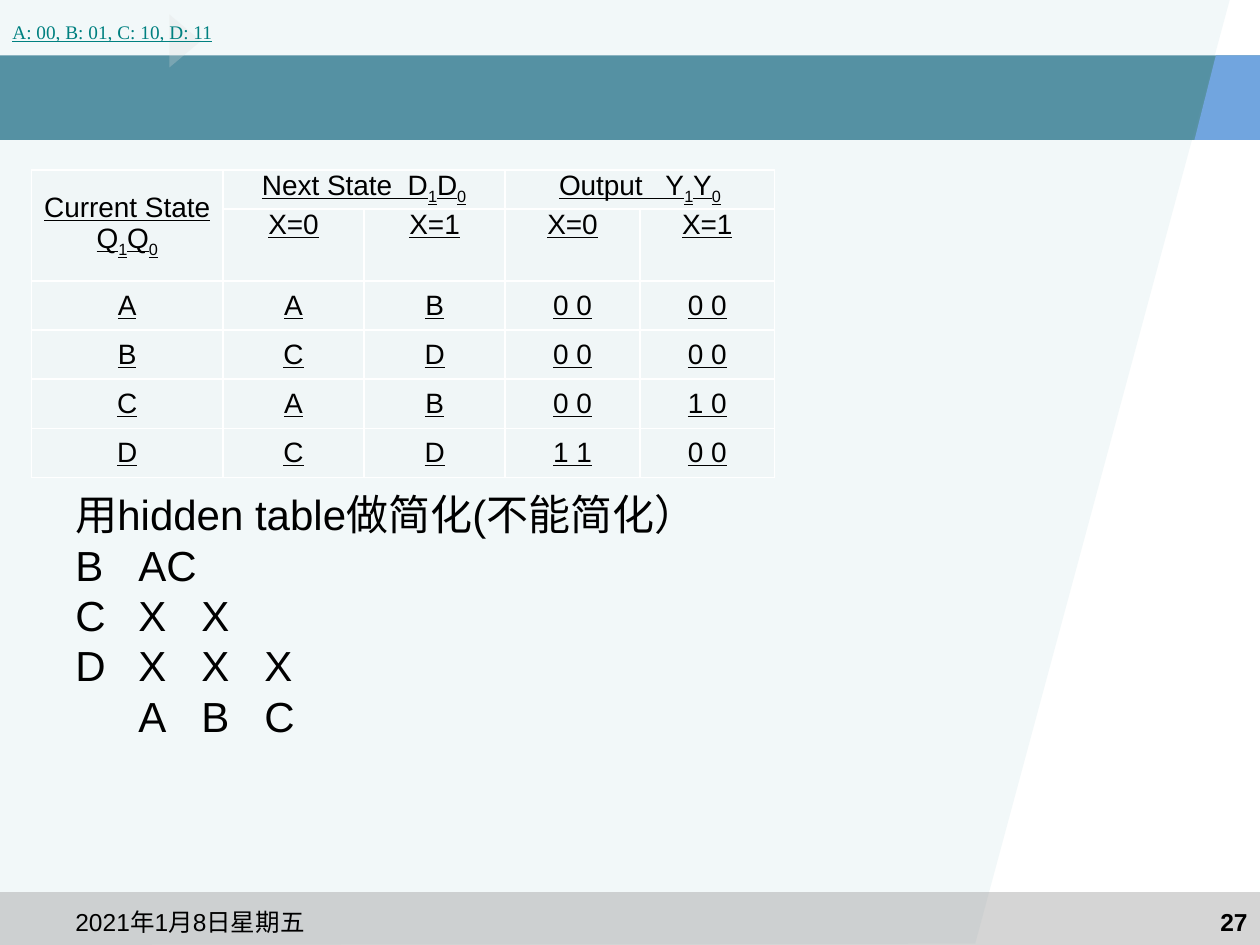
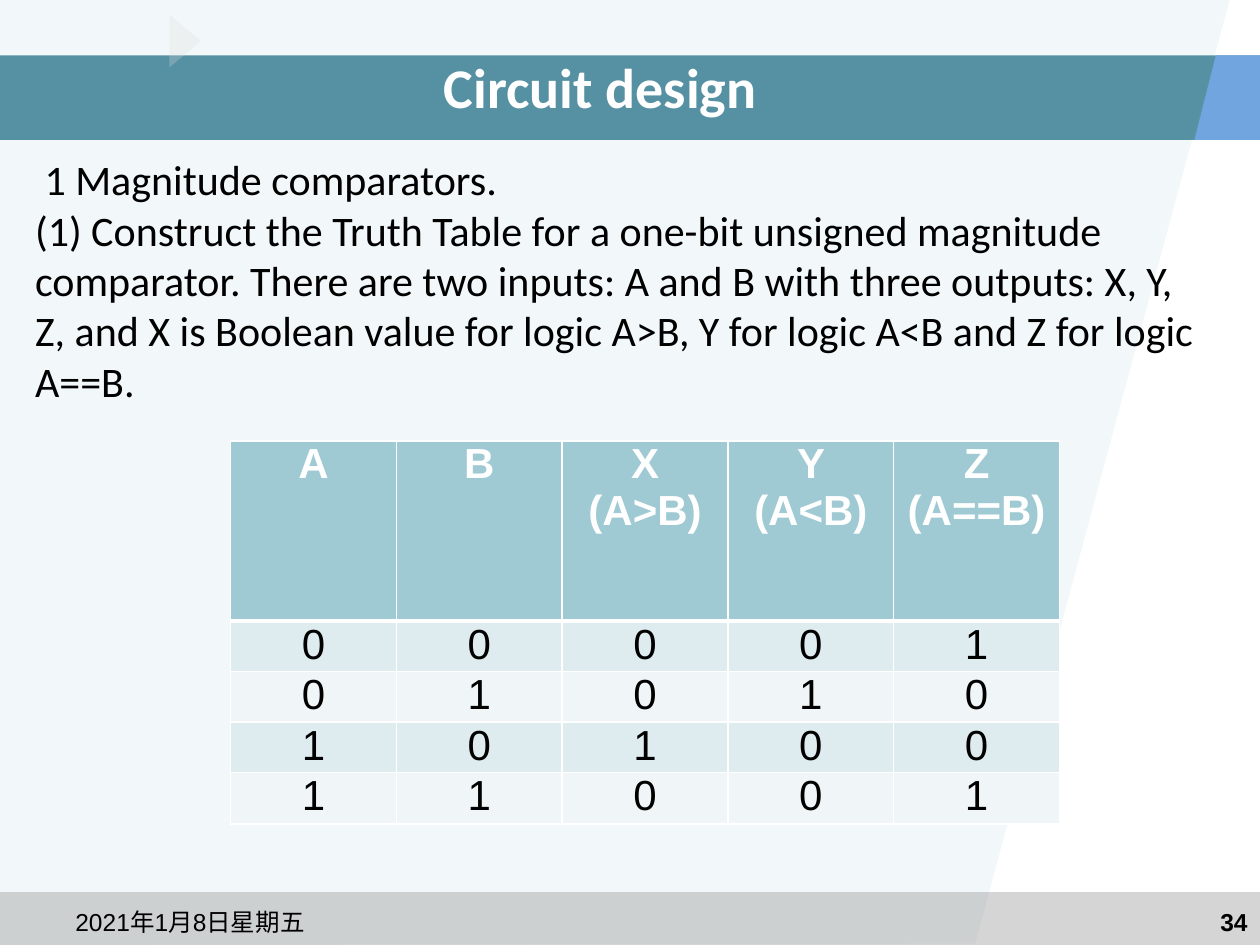
from dataclasses import dataclass

from lxml import etree
from pptx import Presentation
from pptx.dml.color import RGBColor
from pptx.enum.shapes import MSO_SHAPE
from pptx.enum.text import MSO_ANCHOR, PP_ALIGN
from pptx.oxml.ns import qn
from pptx.util import Inches, Pt

RECT, WEDGE = MSO_SHAPE.RECTANGLE, MSO_SHAPE.ISOSCELES_TRIANGLE
LEFT, MID, RIGHT = PP_ALIGN.LEFT, PP_ALIGN.CENTER, PP_ALIGN.RIGHT
TOP, CENTRE = MSO_ANCHOR.TOP, MSO_ANCHOR.MIDDLE
COLS, ROWS, STEP = 100, 75, 0.1  # slide grid, step in inches


@dataclass(frozen=True)
class Theme:
    ink: str = "000000"
    white: str = "FFFFFF"
    aqua: str = "9FCAD3"
    teal: str = "26728A"
    blue: str = "71A5DF"
    grey: str = "969696"
    pale: str = "DDDDDD"
    link: str = "008080"
    odd: str = "DFECEF"
    even: str = "F0F6F7"
    sans: str = "Arial"
    head: str = "Calibri"
    serif: str = "Times New Roman"
    title: int = 32
    body: int = 24
    cell: int = 16
    foot: int = 14
    code: int = 11
    lead: float = 28.8


T = Theme()


@dataclass(frozen=True)
class Box:
    """A region in grid units."""
    x: float
    y: float
    w: float
    h: float

    def cut(self, x, y, w, h):
        """Give a part whose corner is measured from this box."""
        return Box(self.x + x, self.y + y, w, h)

    def frame(self):
        return [Inches(n * STEP) for n in (self.x, self.y, self.w, self.h)]


@dataclass(frozen=True)
class Type:
    size: int
    font: str = T.sans
    color: str = T.ink
    bold: bool = False
    line: bool = False


PAGE = Box(0, 0, COLS, ROWS)
FOOT = PAGE.cut(0, 70.8, COLS, 4.2)
BAND = PAGE.cut(0, 4.4, COLS, 6.7)


def rgb(code):
    return RGBColor.from_string(code)


def paint(shape, color, alpha=100):
    shape.shadow.inherit = False
    shape.line.fill.background()
    shape.fill.solid()
    shape.fill.fore_color.rgb = rgb(color)
    if alpha < 100:
        tone = shape.fill._xPr.find(".//" + qn("a:srgbClr"))
        etree.SubElement(tone, qn("a:alpha"), val=str(alpha * 1000))


def block(slide, box, kind, color, alpha=100):
    shape = slide.shapes.add_shape(kind, *box.frame())
    paint(shape, color, alpha)
    return shape


def outline(slide, box, points, color, alpha=100):
    spots = [(Inches((box.x + x) * STEP), Inches((box.y + y) * STEP))
             for x, y in points]
    pen = slide.shapes.build_freeform(*spots[0])
    pen.add_line_segments(spots[1:], close=True)
    paint(pen.convert_to_shape(), color, alpha)


def put_run(para, text, style, sub=False):
    run = para.add_run()
    run.text = text
    font = run.font
    font.size, font.name = Pt(style.size), style.font
    font.bold, font.underline = style.bold, style.line
    font.color.rgb = rgb(style.color)
    if sub:
        run._r.get_or_add_rPr().set("baseline", "-25000")


def write(frame, text, style, align=LEFT, lead=None):
    """Fill a frame line by line; the letter after "_" is a subscript."""
    for i, line in enumerate(text.split("\n")):
        para = frame.add_paragraph() if i else frame.paragraphs[0]
        para.alignment = align
        if lead:
            para.line_spacing = Pt(lead)
        first, *rest = line.split("_")
        put_run(para, first, style)
        for part in rest:
            put_run(para, part[0], style, sub=True)
            if part[1:]:
                put_run(para, part[1:], style)


def label(slide, box, text, style, align=LEFT, anchor=TOP, lead=None):
    frame = slide.shapes.add_textbox(*box.frame()).text_frame
    frame.word_wrap = True
    frame.vertical_anchor = anchor
    write(frame, text, style, align, lead)


def edge(cell, **widths):
    """Draw the four white borders, one point wide unless told."""
    props = cell._tc.get_or_add_tcPr()
    for side in "LRTB":
        line = etree.SubElement(props, qn("a:ln" + side),
                                w=str(Pt(widths.get(side, 1))))
        fill = etree.SubElement(line, qn("a:solidFill"))
        etree.SubElement(fill, qn("a:srgbClr"), val=T.white)


def dress(cell, text, fill, style, anchor=TOP, **widths):
    edge(cell, **widths)
    cell.fill.solid()
    cell.fill.fore_color.rgb = rgb(fill)
    cell.margin_left = cell.margin_right = Inches(0.07)
    cell.margin_top = cell.margin_bottom = 0
    cell.vertical_anchor = anchor
    if text:
        write(cell.text_frame, text, style, MID)


def grid(slide, box, widths, heights):
    """Add a plain table with the given columns and rows."""
    table = slide.shapes.add_table(len(heights), len(widths),
                                   *box.frame()).table
    table.first_row = table.horz_banding = False
    for col, width in zip(table.columns, widths):
        col.width = Inches(width * STEP)
    for row, height in zip(table.rows, heights):
        row.height = Inches(height * STEP)
    return table


def backdrop(slide):
    outline(slide, PAGE, [(0, 0), (97.6, 0), (77.4, 74.9), (0, ROWS)],
            T.aqua, 13)
    block(slide, FOOT, RECT, T.grey, 40)
    block(slide, BAND, RECT, T.teal, 77)
    outline(slide, BAND, [(96.5, 0), (94.8, BAND.h), (COLS, BAND.h),
                          (COLS, 0)], T.blue)
    block(slide, PAGE.cut(12.6, 2, 4.2, 2.5), WEDGE, T.pale, 27).rotation = 90


def footer(slide, box, number):
    label(slide, box.cut(5, 0.7, 23.3, 3.5), "2021年1月8日星期五", Type(T.foot))
    label(slide, box.cut(76.7, 0.7, 23.3, 3.5), number,
          Type(T.foot, bold=True), RIGHT)


def state_table(slide, box):
    heads = [["Current State\nQ_1Q_0", "Next State  D_1D_0", "",
              "Output   Y_1Y_0", ""],
             ["", "X=0", "X=1", "X=0", "X=1"]]
    states = [["A", "A", "B", "0 0", "0 0"],
              ["B", "C", "D", "0 0", "0 0"],
              ["C", "A", "B", "0 0", "1 0"],
              ["D", "C", "D", "1 1", "0 0"]]
    table = grid(slide, box, [15.2, 11.2, 11.2, 10.7, 10.7],
                 [3.1] * 2 + [3.9] * len(states))
    for start, end in (((0, 0), (1, 0)), ((0, 1), (0, 2)), ((0, 3), (0, 4))):
        table.cell(*start).merge(table.cell(*end))
    for r, row in enumerate(heads + states):
        for c, text in enumerate(row):
            anchor = CENTRE if c == 0 or r >= len(heads) else TOP
            dress(table.cell(r, c), text, T.even, Type(T.cell, line=True),
                  anchor)


def truth_table(slide, box):
    heads = ["A", "B", "X (A>B)", "Y (A<B)", "Z (A==B)"]
    bits = ["00001", "01010", "10100", "11001"]
    table = grid(slide, box, [box.w / len(heads)] * len(heads),
                 [14.3, 3.9, 3.8, 3.9, 4.1])
    for c, text in enumerate(heads):
        dress(table.cell(0, c), text, T.aqua,
              Type(T.body, color=T.white, bold=True), B=3)
    for r, row in enumerate(bits, 1):
        fill = T.odd if r % 2 else T.even
        for c, bit in enumerate(row):
            dress(table.cell(r, c), bit, fill, Type(T.body),
                  T=3 if r == 1 else 1)


def state_slide(slide, box):
    state_table(slide, box.cut(2.5, 13.5, 59.2, 21.7))
    label(slide, box.cut(0, 0, COLS, 5), "A: 00, B: 01, C: 10, D: 11",
          Type(T.code, T.serif, T.link, line=True), anchor=CENTRE)
    label(slide, box.cut(5, 38.3, 71.7, 21.2),
          "用hidden table做简化(不能简化）\nB\tAC\nC\tX\tX\nD\tX\tX\tX\n\tA\tB\tC",
          Type(T.body), lead=T.lead)


def design_slide(slide, box):
    label(slide, box.cut(1.8, 4.3, 91.7, 5), "Circuit design",
          Type(T.title, T.head, T.white, bold=True), MID, CENTRE)
    truth_table(slide, box.cut(18.3, 35, 65.8, 30.4))
    label(slide, box.cut(1.8, 11.7, 94.8, 25.2),
          " 1 Magnitude comparators.\n"
          "(1) Construct the Truth Table for a one-bit unsigned magnitude "
          "comparator. There are two inputs: A and B with three outputs: "
          "X, Y, Z, and X is Boolean value for logic A>B, Y for logic A<B "
          "and Z for logic A==B.",
          Type(T.body, T.head), lead=T.lead)


def main():
    deck = Presentation()
    deck.slide_width = Inches(COLS * STEP)
    deck.slide_height = Inches(ROWS * STEP)
    for fill, number in ((state_slide, "27"), (design_slide, "34")):
        slide = deck.slides.add_slide(deck.slide_layouts[6])
        backdrop(slide)
        footer(slide, FOOT, number)
        fill(slide, PAGE)
    deck.save("out.pptx")


if __name__ == "__main__":
    main()
